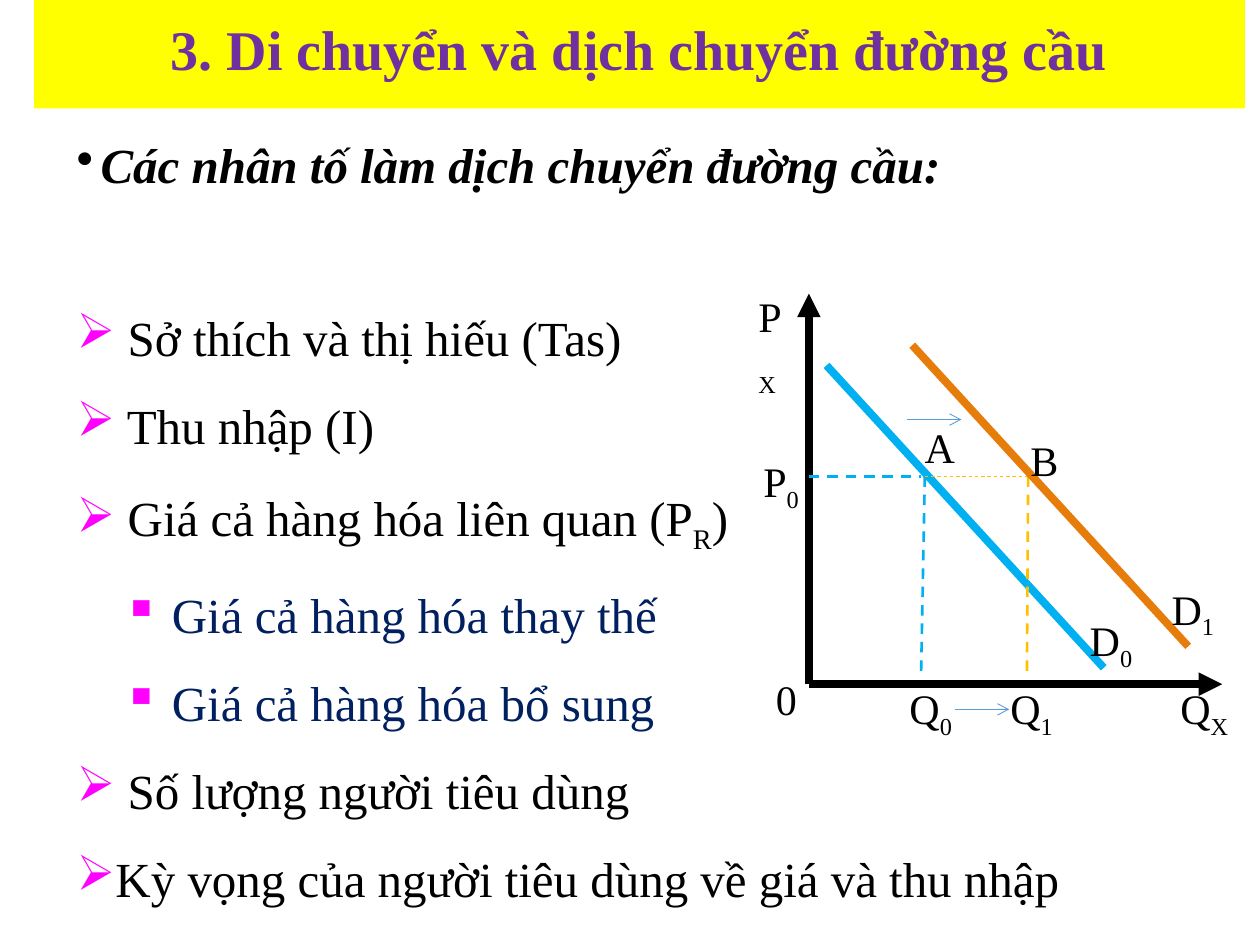
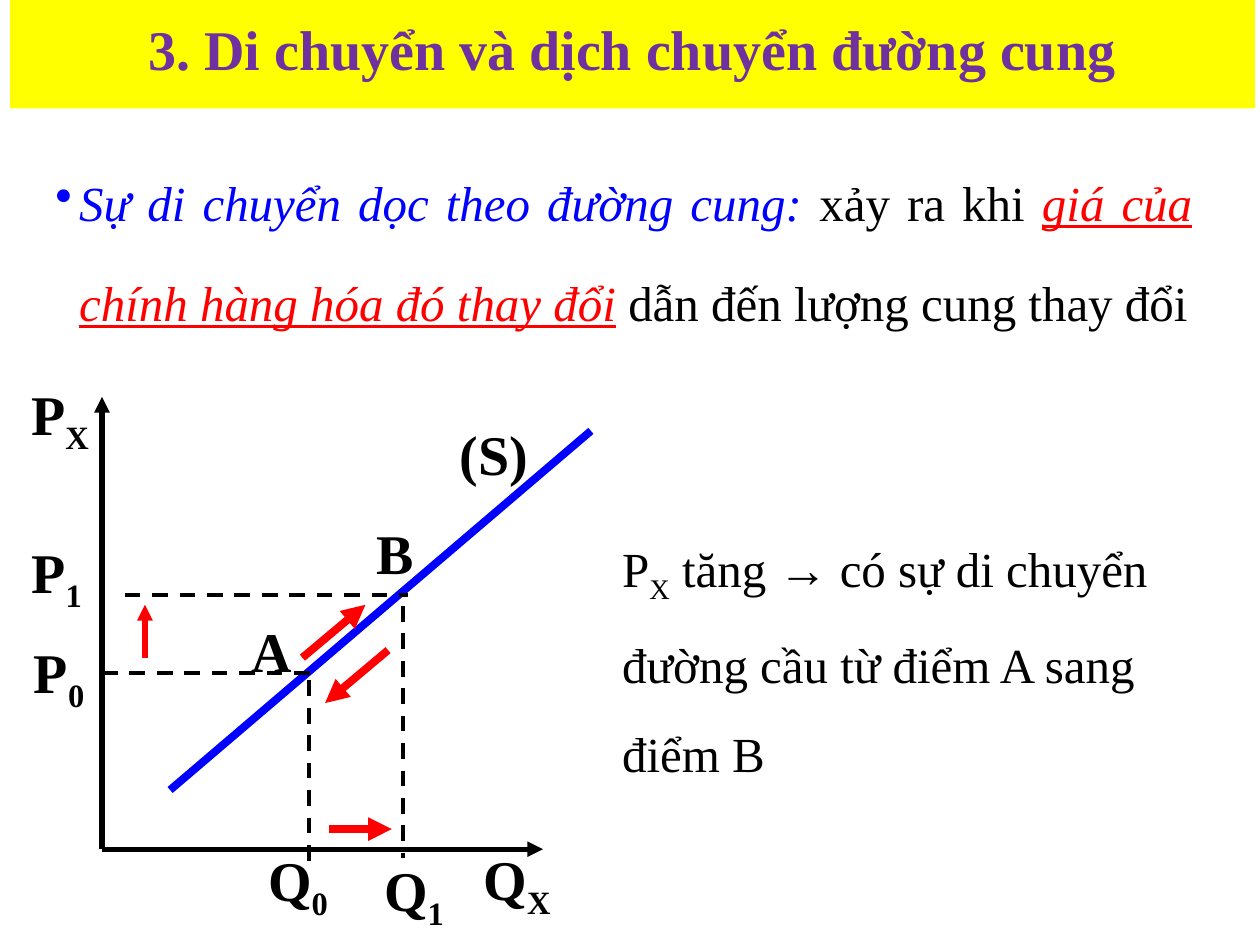
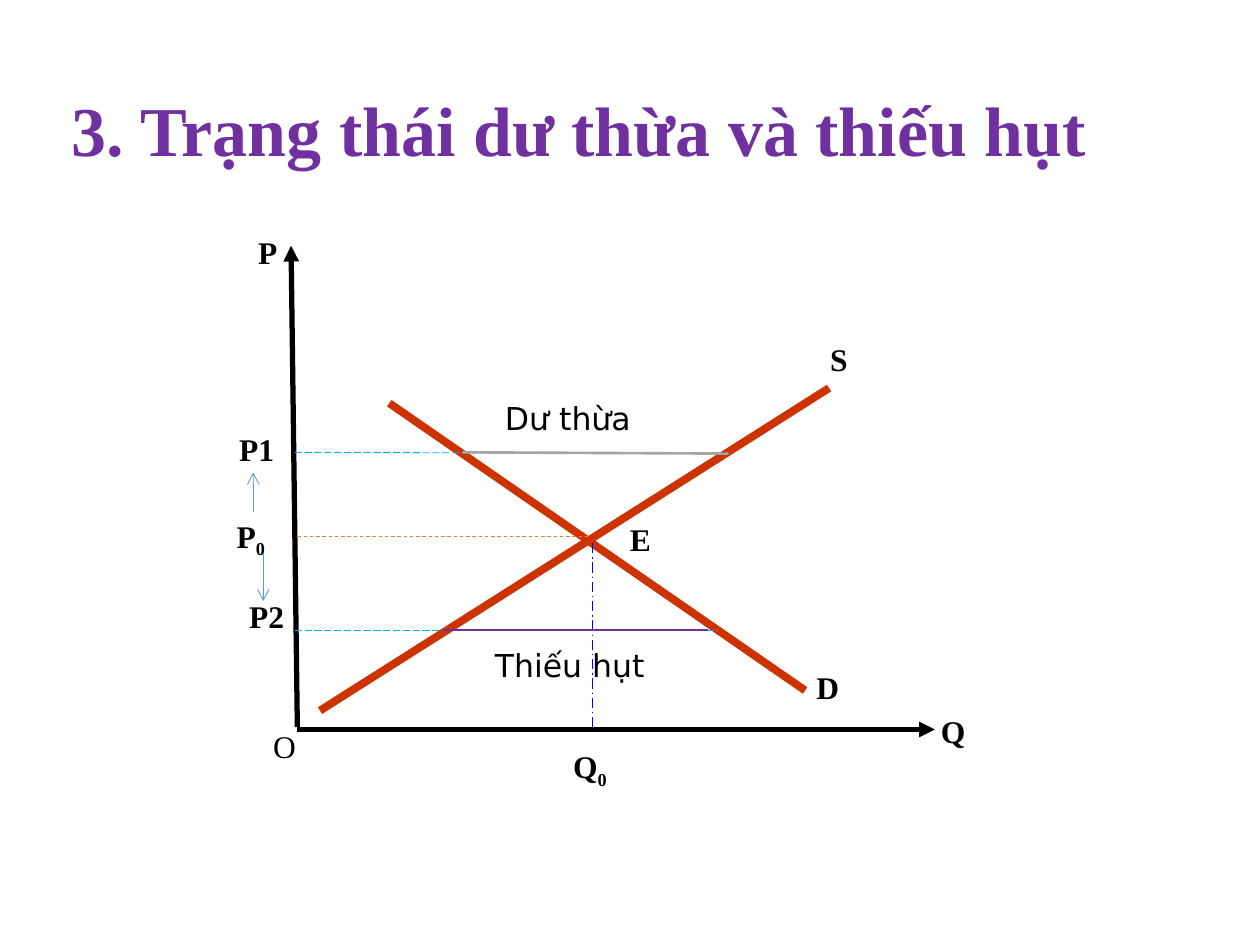
from lxml.etree import SubElement
from pptx import Presentation
from pptx.dml.color import RGBColor
from pptx.enum.dml import MSO_LINE as Dash
from pptx.enum.shapes import MSO_CONNECTOR as Connector
from pptx.enum.text import MSO_ANCHOR as Anchor, MSO_AUTO_SIZE as AutoSize, PP_ALIGN as Align
from pptx.oxml.ns import qn
from pptx.util import Emu, Pt

PX = 9144  # 100 px to the inch


class Theme:
    serif, sans = "Times New Roman", "DejaVu Sans"
    band_title, plain_title, body = 32, 40, 28
    label_small, label_medium, label_large = 18, 24, 32
    yellow, purple, black = "FFFF00", "7030A0", "000000"
    magenta, navy, blue, red = "FF00FF", "002060", "0000FF", "FF0000"
    sky, amber, orange, brick = "00B0F0", "FFC000", "E67D0A", "CC3300"
    steel, gray, rust = "5B9BD5", "A5A5A5", "ED7D31"


def write(paragraph, text, size, color=Theme.black, bold=False, font=Theme.serif, bullet=None):
    """Fill a paragraph; every second piece between underscores is a subscript."""
    if bullet:
        mark, mark_color, margin = bullet
        properties = paragraph._p.get_or_add_pPr()
        properties.set("marL", str(margin * PX))
        properties.set("indent", str(-19 * PX))
        SubElement(SubElement(properties, qn("a:buClr")), qn("a:srgbClr"), val=mark_color)
        SubElement(properties, qn("a:buChar"), char=mark)
    for index, piece in enumerate(text.split("_")):
        if piece:
            run = paragraph.add_run()
            run.text = piece
            if index % 2:
                run._r.get_or_add_rPr().set("baseline", "-25000")
    paragraph.font.name = font
    paragraph.font.size = Pt(size)
    paragraph.font.bold = bold
    paragraph.font.color.rgb = RGBColor.from_string(color)


def draw_line(slide, ends, color, width, dash=None, arrow=None):
    connector = slide.shapes.add_connector(Connector.STRAIGHT, *(Emu(end * PX) for end in ends))
    connector.line.color.rgb = RGBColor.from_string(color)
    connector.line.width = Pt(width)
    if dash:
        connector.line.dash_style = dash
    if arrow:
        SubElement(connector.line._get_or_add_ln(), qn("a:tailEnd"), type=arrow)
    SubElement(connector._element.spPr, qn("a:effectLst"))


deck = Presentation()
deck.slide_width, deck.slide_height = Emu(1000 * PX), Emu(750 * PX)

# Titles
titles = [
    ("3. Di chuyển và dịch chuyển đường cầu", (27, -3, 961, 89), True),
    ("3. Di chuyển và dịch chuyển đường cung", (8, -3, 988, 89), True),
    ("3. Trạng thái dư thừa và thiếu hụt", (47, 55, 900, 102), False),
]
for heading, place, banded in titles:
    title = deck.slides.add_slide(deck.slide_layouts[5]).shapes.title
    title.left, title.top, title.width, title.height = (Emu(n * PX) for n in place)
    title.text_frame.auto_size = AutoSize.NONE
    title.text_frame.vertical_anchor = Anchor.MIDDLE
    line = title.text_frame.paragraphs[0]
    line.line_spacing = 0.9
    line.alignment = Align.CENTER if banded else Align.LEFT
    write(line, heading, Theme.band_title if banded else Theme.plain_title, Theme.purple, True)
    if banded:
        title.fill.solid()
        title.fill.fore_color.rgb = RGBColor.from_string(Theme.yellow)
demand, supply, balance = deck.slides

# Factors that shift the demand curve
factors = demand.shapes.add_textbox(*(Emu(n * PX) for n in (51, 107, 900, 79))).text_frame
factors.word_wrap = True
intro = factors.paragraphs[0]
intro.alignment = Align.JUSTIFY
intro.line_spacing = 0.9
intro.space_after = Pt(48)
write(intro, "Các nhân tố làm dịch chuyển đường cầu:", Theme.body, bold=True,
      bullet=("•", Theme.black, 19))
intro.font.italic = True
for level, factor in [
    (0, " Sở thích và thị hiếu (Tas)"),
    (0, " Thu nhập (I)"),
    (0, " Giá cả hàng hóa liên quan (P_R_)"),
    (1, " Giá cả hàng hóa thay thế"),
    (1, " Giá cả hàng hóa bổ sung"),
    (0, " Số lượng người tiêu dùng"),
    (0, "Kỳ vọng của người tiêu dùng về giá và thu nhập"),
]:
    item = factors.add_paragraph()
    item.level = level
    item.alignment = Align.JUSTIFY
    item.line_spacing = 1.5
    item.space_before = Pt(0)
    mark, margin, color = [("➢", 19, Theme.black), ("▪", 56, Theme.navy)][level]
    write(item, factor, Theme.body, color, bullet=(mark, Theme.magenta, margin))

# Movement along the supply curve
definition = supply.shapes.add_textbox(*(Emu(n * PX) for n in (34, 99, 922, 79))).text_frame
definition.word_wrap = True
movement = definition.paragraphs[0]
movement.alignment = Align.JUSTIFY
movement.line_spacing = 1.7
write(movement, "", Theme.body, bullet=("•", Theme.blue, 19))
for phrase, color, italic, underline in [
    ("Sự di chuyển dọc theo đường cung:", Theme.blue, True, False),
    (" xảy ra khi ", Theme.black, False, False),
    ("giá của chính hàng hóa đó thay đổi", Theme.red, True, True),
    (" dẫn đến lượng cung thay đổi", Theme.black, False, False),
]:
    run = movement.add_run()
    run.text = phrase
    run.font.color.rgb = RGBColor.from_string(color)
    run.font.italic, run.font.underline = italic, underline

effect = supply.shapes.add_textbox(*(Emu(n * PX) for n in (484, 396, 496, 222))).text_frame
effect.word_wrap = True
effect.paragraphs[0].line_spacing = 1.5
write(effect.paragraphs[0], "P_X_ tăng → có sự di chuyển đường cầu từ điểm A sang điểm B", Theme.body)

# Axes, curves, guides and arrows
diagrams = [
    (demand, [
        ((642, 543, 642, 233), Theme.black, 4.5, None, "triangle"),
        ((642, 543, 970, 543), Theme.black, 4.5, None, "triangle"),
        ((656, 290, 876, 530), Theme.sky, 4.5),
        ((642, 378, 731, 378), Theme.sky, 1.5, Dash.DASH),
        ((734, 378, 731, 537), Theme.sky, 1.5, Dash.DASH),
        ((816, 378, 815, 537), Theme.amber, 1.5, Dash.DASH),
        ((734, 378, 815, 378), Theme.amber, 0.5, Dash.DASH),
        ((724, 274, 943, 513), Theme.orange, 4.5),
        ((758, 563, 801, 563), Theme.steel, 0.5, None, "arrow"),
        ((720, 333, 763, 333), Theme.steel, 0.5, None, "arrow"),
    ]),
    (supply, [
        ((469, 342, 135, 627), Theme.blue, 4.5),
        ((81, 674, 81, 315), Theme.black, 3, None, "triangle"),
        ((81, 674, 431, 674), Theme.black, 3, None, "triangle"),
        ((81, 534, 248, 534), Theme.black, 2.25, Dash.DASH),
        ((99, 472, 324, 472), Theme.black, 2.25, Dash.DASH),
        ((115, 522, 115, 480), Theme.red, 3, None, "triangle"),
        ((245, 540, 245, 690), Theme.black, 2.25, Dash.DASH),
        ((320, 481, 320, 681), Theme.black, 2.25, Dash.DASH),
        ((261, 658, 311, 658), Theme.red, 4.5, None, "triangle"),
        ((240, 522, 290, 480), Theme.red, 4.5, None, "triangle"),
        ((308, 516, 258, 558), Theme.red, 4.5, None, "triangle"),
    ]),
    (balance, [
        ((309, 320, 639, 548), Theme.brick, 4.5),
        ((254, 564, 658, 308), Theme.brick, 4.5),
        ((236, 579, 742, 579), Theme.black, 3, None, "triangle"),
        ((236, 577, 231, 195), Theme.black, 3, None, "triangle"),
        ((470, 431, 470, 577), Theme.blue, 0.75, Dash.LONG_DASH_DOT),
        ((467, 426, 236, 426), Theme.rust, 0.5, Dash.DASH),
        ((234, 359, 570, 360), Theme.sky, 0.5, Dash.LONG_DASH),
        ((367, 359, 578, 360), Theme.gray, 1.5),
        ((234, 500, 570, 500), Theme.sky, 0.5, Dash.LONG_DASH),
        ((352, 500, 562, 500), Theme.purple, 1.5),
        ((201, 406, 201, 375), Theme.steel, 0.5, None, "arrow"),
        ((209, 439, 209, 477), Theme.steel, 0.5, None, "arrow"),
    ]),
]
for slide, strokes in diagrams:
    for stroke in strokes:
        draw_line(slide, *stroke)

# Diagram labels
label_sets = [
    (demand, Theme.label_medium, False, Theme.serif, [
        ("A", 724, 330, 50, 44), ("B", 808, 340, 50, 44),
        ("Q_X", 927, 537, 77, 44), ("P_X", 592, 226, 50, 44),
        ("P_0", 596, 357, 50, 44), ("0", 606, 530, 50, 44),
        ("Q_0", 712, 537, 63, 44), ("Q_1", 792, 537, 71, 44),
        ("D_0", 855, 483, 88, 50), ("D_1", 920, 458, 72, 50),
    ]),
    (supply, Theme.label_large, True, Theme.serif, [
        ("(S)", 355, 328, 78, 60), ("P_X", 15, 296, 73, 64),
        ("Q_X", 374, 665, 87, 64), ("P_0", 17, 501, 74, 63),
        ("P_1", 15, 422, 65, 63), ("Q_0", 203, 666, 83, 63),
        ("Q_1", 295, 674, 83, 63), ("A", 190, 484, 67, 63),
        ("B", 289, 407, 67, 63),
    ]),
    (balance, Theme.label_small, True, Theme.serif, [
        ("S", 649, 265, 40, 41), ("D", 638, 525, 51, 41),
        ("Q", 737, 560, 60, 41), ("P", 195, 180, 51, 41),
        ("Q_0", 445, 588, 71, 41), ("P_0", 178, 405, 47, 41),
        ("E", 490, 408, 61, 41), ("P2", 188, 469, 53, 40),
        ("P1", 180, 336, 60, 41),
    ]),
    (balance, Theme.label_small, False, Theme.serif, [("O", 207, 572, 41, 40)]),
    (balance, Theme.label_small, False, Theme.sans, [
        ("Dư thừa", 391, 312, 123, 40), ("Thiếu hụt", 383, 508, 141, 40),
    ]),
]
for slide, size, bold, font, labels in label_sets:
    for text, *place in labels:
        label = slide.shapes.add_textbox(*(Emu(n * PX) for n in place)).text_frame
        label.word_wrap = True
        write(label.paragraphs[0], text, size, bold=bold, font=font)

deck.save("out.pptx")
